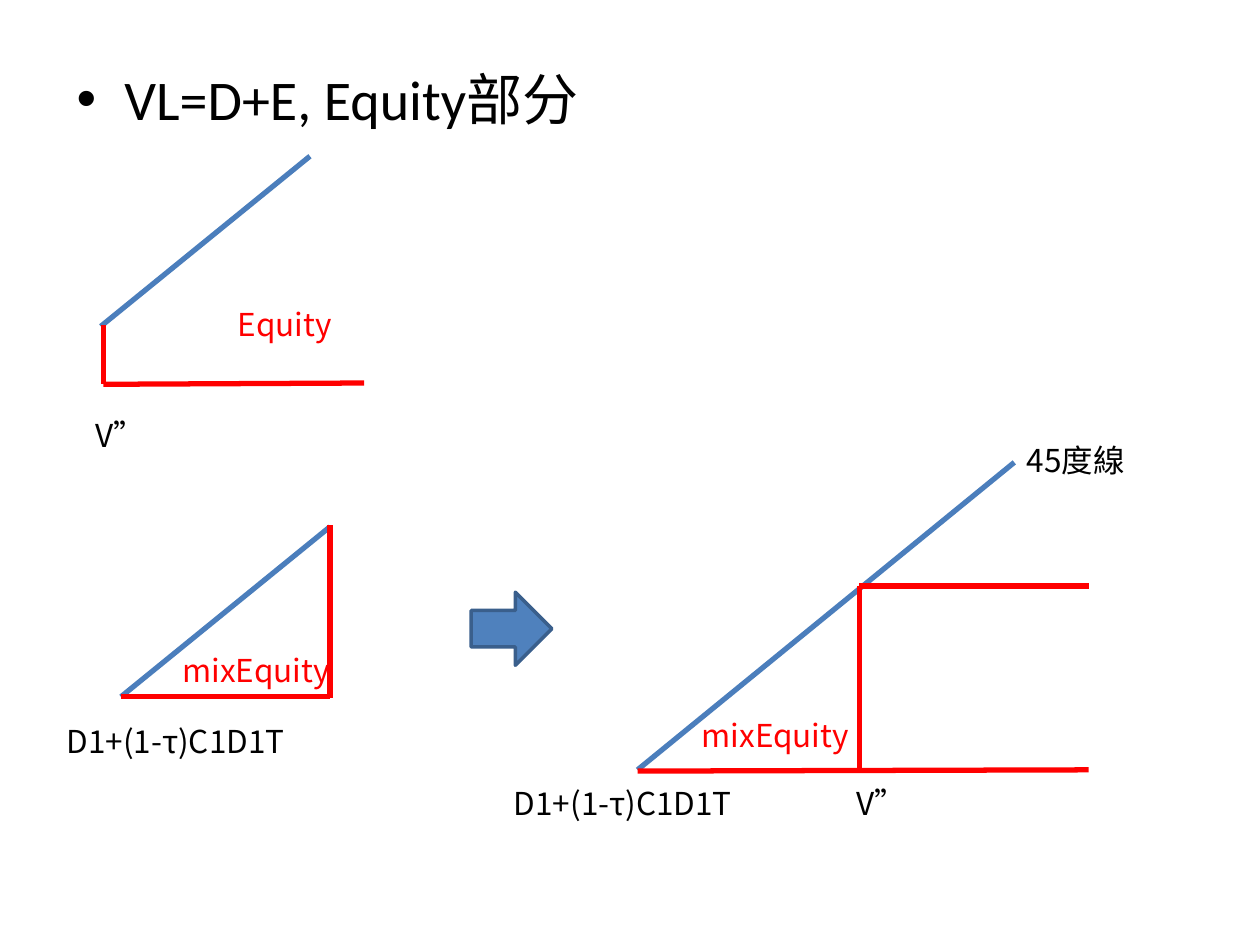
from lxml import etree
from pptx import Presentation
from pptx.dml.color import RGBColor
from pptx.enum.shapes import MSO_CONNECTOR, MSO_SHAPE
from pptx.oxml.ns import qn
from pptx.util import Inches, Pt

STRAIGHT = MSO_CONNECTOR.STRAIGHT
ARROW = MSO_SHAPE.RIGHT_ARROW
HEAD, BODY = "Calibri", "Noto Sans CJK SC"
COLORS = {"black": "000000", "red": "FF0000", "blue": "4B7EBC",
          "fill": "4F81BD", "edge": "3A5F8C"}


def color(name):
    """Return the named colour."""
    return RGBColor.from_string(COLORS[name])


def add_text(slide, text, box, size=18, font=BODY, tint="black", bullet=False):
    """Add a text box with one paragraph, bulleted on request."""
    frame = slide.shapes.add_textbox(*map(Inches, box)).text_frame
    frame.word_wrap = True
    para = frame.paragraphs[0]
    para.text = text
    if bullet:
        props = para._p.get_or_add_pPr()
        props.set("marL", str(Inches(0.38)))
        props.set("indent", str(-Inches(0.38)))
        etree.SubElement(props, qn("a:buFont")).set("typeface", "Arial")
        etree.SubElement(props, qn("a:buChar")).set("char", "•")
    for run in para.runs:
        run.font.size = Pt(size)
        run.font.name = font
        run.font.color.rgb = color(tint)
        east = etree.SubElement(run._r.get_or_add_rPr(), qn("a:ea"))
        east.set("typeface", BODY)


def add_line(slide, start, end, tint="red"):
    """Add a straight line without shadow."""
    line = slide.shapes.add_connector(STRAIGHT, *map(Inches, start + end))
    line.line.color.rgb = color(tint)
    line.line.width = Pt(3)
    etree.SubElement(line._element.spPr, qn("a:effectLst"))


def add_arrow(slide, box):
    """Add the block arrow between the diagrams."""
    arrow = slide.shapes.add_shape(ARROW, *map(Inches, box))
    arrow.shadow.inherit = False
    arrow.fill.solid()
    arrow.fill.fore_color.rgb = color("fill")
    arrow.line.color.rgb = color("edge")
    arrow.line.width = Pt(2)


def draw_equity(slide):
    """Draw the equity area above V”."""
    add_line(slide, (0.8, 2.59), (2.46, 1.24), "blue")
    add_line(slide, (0.82, 3.05), (2.89, 3.04))
    add_line(slide, (0.82, 2.58), (0.82, 3.05))
    add_text(slide, "Equity", (1.79, 2.37, 1.26, 0.4), tint="red")
    add_text(slide, "V”", (0.66, 3.25, 0.69, 0.4))


def draw_mix(slide):
    """Draw the mixed equity triangle."""
    add_line(slide, (0.96, 5.53), (2.62, 4.18), "blue")
    add_line(slide, (0.96, 5.53), (2.62, 5.53))
    add_line(slide, (2.62, 4.17), (2.62, 5.54))
    add_text(slide, "mixEquity", (1.35, 5.12, 1.48, 0.4), tint="red")
    add_text(slide, "D1+(1-τ)C1D1T", (0.43, 5.68, 1.98, 0.4))


def draw_sum(slide):
    """Draw the combined diagram with the 45 degree line."""
    add_line(slide, (5.06, 6.11), (8.05, 3.67), "blue")
    add_line(slide, (5.06, 6.12), (8.64, 6.11))
    add_line(slide, (6.82, 4.65), (6.82, 6.12))
    add_line(slide, (6.82, 4.65), (8.64, 4.65))
    add_text(slide, "mixEquity", (5.47, 5.63, 1.65, 0.4), tint="red")
    add_text(slide, "45度線", (8.05, 3.45, 1.26, 0.4))
    add_text(slide, "D1+(1-τ)C1D1T", (3.98, 6.17, 1.98, 0.4))
    add_text(slide, "V”", (6.7, 6.17, 0.69, 0.4))


def main():
    """Build and save the slide."""
    deck = Presentation()
    deck.slide_width, deck.slide_height = Inches(10), Inches(7.5)
    slide = deck.slides.add_slide(deck.slide_layouts[6])
    add_text(slide, "VL=D+E, Equity部分", (0.51, 0.46, 9, 6.26), 32, HEAD,
             bullet=True)
    draw_equity(slide)
    draw_mix(slide)
    add_arrow(slide, (3.74, 4.7, 0.64, 0.58))
    draw_sum(slide)
    deck.save("out.pptx")


if __name__ == "__main__":
    main()
